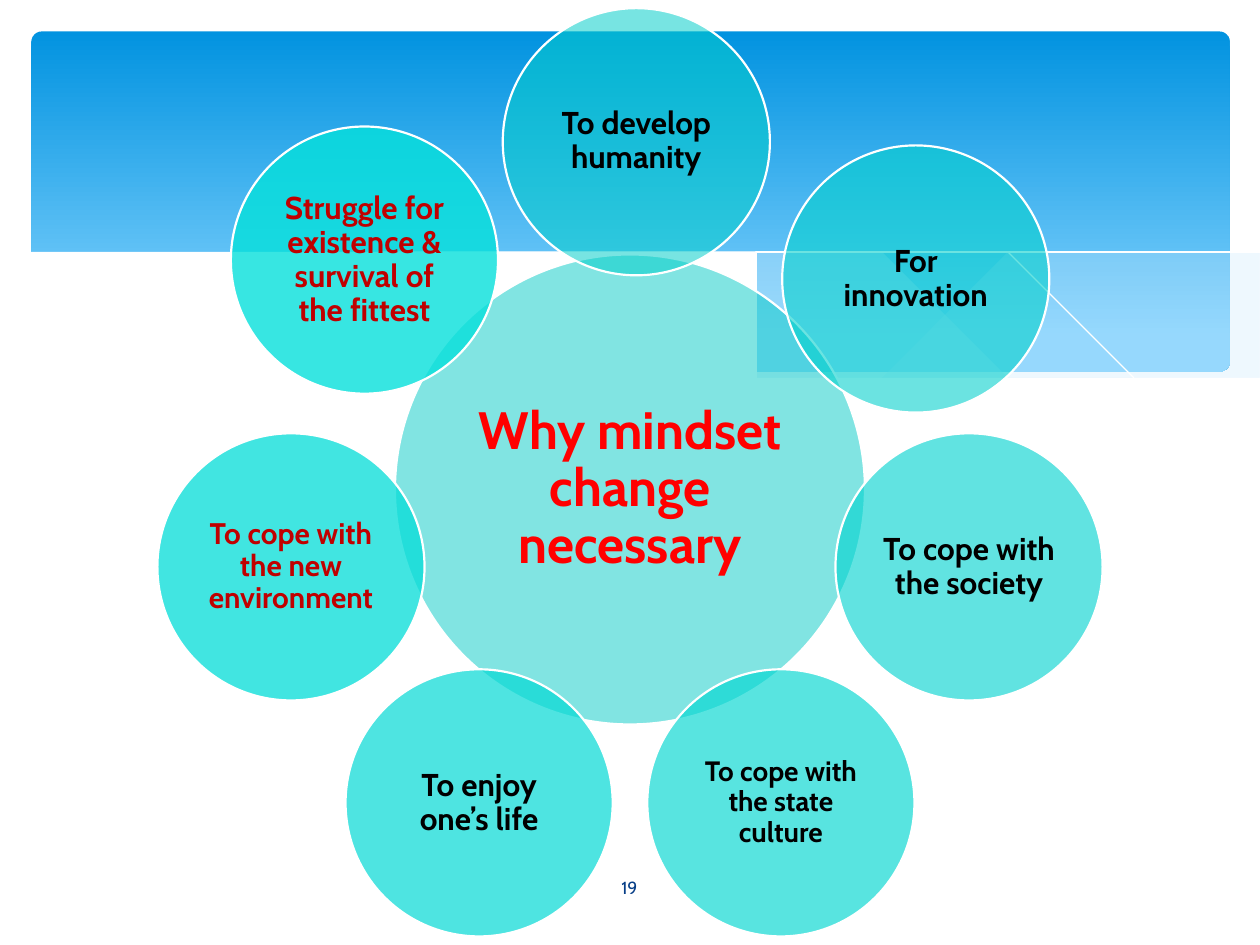
import math
from dataclasses import dataclass

import pptx
import pptx.dml.color
import pptx.enum.shapes
import pptx.enum.text
import pptx.oxml
import pptx.oxml.ns
import pptx.util

SHAPE = pptx.enum.shapes.MSO_SHAPE
Inches, Pt = pptx.util.Inches, pptx.util.Pt


@dataclass(frozen=True)
class Theme:
    font: str = "Cabin"
    sky: tuple = ("0293E0", "83D3FE")
    wave: str = "C6E7FC"
    white: str = "FFFFFF"
    number: str = "073E87"
    title: str = "FF0000"
    accent: str = "C00000"
    text: str = "000000"
    ring: tuple = ((5, 203, 199), (6, 224, 219))  # centre to last bubble
    opacity: tuple = (50, 80)
    title_size: int = 30
    large: int = 18
    medium: int = 17
    small: int = 16
    number_size: int = 10


theme = Theme()

# Content
QUESTION = "Why mindset change necessary"
PAGE_NUMBER = "19"
REASONS = [  # text, colour, size, nudge away from the even ring
    ("To develop humanity", theme.text, theme.large, (0.05, 0)),
    ("For innovation", theme.text, theme.large, (0.11, 0.05)),
    ("To cope with the society", theme.text, theme.large, (0, 0)),
    ("To cope with the state culture", theme.text, theme.small, (0, 0)),
    ("To enjoy one’s life", theme.text, theme.large, (0, 0)),
    ("To cope with the new environment", theme.accent, theme.medium, (0, 0)),
    ("Struggle for existence & survival of the fittest", theme.accent,
     theme.large, (0.05, -0.1)),
]

# Wave edges: points that a smooth curve passes through, in inches
RIGHT_WAVE = [
    [(9.76, 2), (9.35, 2.07), (8.61, 2.23), (7.53, 2.48), (6.61, 2.65)],
    [(6.61, 2.65), (7.19, 2.72), (7.69, 2.77), (8.24, 2.77), (8.72, 2.74),
     (9.13, 2.67), (9.49, 2.57), (9.76, 2.47)],
]
LONG_WAVE = [
    [(8.93, 2.73), (8.07, 2.6), (7.06, 2.4), (6.29, 2.22), (5.55, 2.05),
     (4.89, 1.94), (4.2, 1.87), (3.61, 1.85), (2.86, 1.91)],
    [(2.86, 1.91), (3.62, 2.03), (4.49, 2.22), (5.3, 2.4), (6.18, 2.58),
     (6.95, 2.7), (7.61, 2.77), (8.18, 2.78), (8.93, 2.73)],
]
LONG_LINE = [[(3.09, 1.95), (3.53, 1.89), (4.16, 1.87), (4.89, 1.9),
              (5.82, 2), (6.65, 2.13), (7.6, 2.33), (9.07, 2.72)]]
RIGHT_LINE = [[(6.13, 2.57), (6.95, 2.35), (7.76, 2.16), (8.66, 1.99),
               (9.24, 1.9), (9.75, 1.85)]]
WHITE_WAVE = [
    [(9.77, 2.46), (9.4, 2.59), (8.99, 2.69), (8.5, 2.75), (7.93, 2.76),
     (7.26, 2.72), (6.48, 2.62), (5.55, 2.45), (4.47, 2.2), (3.65, 2.02),
     (2.92, 1.9), (2.3, 1.85), (1.77, 1.84), (1.32, 1.86), (0.95, 1.91),
     (0.59, 1.99), (0.36, 2.07), (0.23, 2.13)],
    [(0.23, 3.29), (9.77, 3.29)],
]

# Geometry of the ring
CENTRE = (5, 3.885)
HUB_SIZE, BUBBLE_SIZE, RING_RADIUS = 3.73, 2.12, 2.76

deck = pptx.Presentation()
deck.slide_width, deck.slide_height = Inches(10), Inches(7.5)
slide = deck.slides.add_slide(deck.slide_layouts[5])  # title only


def rgb(value):
    return pptx.dml.color.RGBColor.from_string(value)


def fill_shape(shape, colour, opacity=100):
    shape.shadow.inherit = False
    shape.fill.solid()
    shape.fill.fore_color.rgb = colour
    if opacity < 100:
        node = shape._element.spPr.find(".//" + pptx.oxml.ns.qn("a:srgbClr"))
        node.append(pptx.oxml.parse_xml(
            f'<a:alpha {pptx.oxml.ns.nsdecls("a")} val="{round(opacity * 1000)}"/>'))


def write(shape, text, colour, size, bold=True, inset=0.03, spacing=0.9):
    frame = shape.text_frame
    frame.text = text
    frame.word_wrap = True
    frame.auto_size = pptx.enum.text.MSO_AUTO_SIZE.NONE
    frame.vertical_anchor = pptx.enum.text.MSO_ANCHOR.MIDDLE
    frame.margin_left = frame.margin_right = Inches(inset)
    frame.margin_top = frame.margin_bottom = Inches(inset)
    paragraph = frame.paragraphs[0]
    paragraph.alignment = pptx.enum.text.PP_ALIGN.CENTER
    paragraph.line_spacing = spacing
    font = paragraph.runs[0].font
    font.name, font.size, font.bold = theme.font, Pt(size), bold
    font.color.rgb = rgb(colour)


def smooth(points, steps=5):
    """Catmull-Rom curve through the points."""
    padded = [points[0], *points, points[-1]]
    curve = [points[0]]
    for a, b, c, d in zip(padded, padded[1:], padded[2:], padded[3:]):
        for t in (step / steps for step in range(1, steps + 1)):
            curve.append(tuple(
                0.5 * (2 * q + (r - p) * t + (2 * p - 5 * q + 4 * r - s) * t**2
                       + (3 * q - p - 3 * r + s) * t**3)
                for p, q, r, s in zip(a, b, c, d)))
    return curve


def add_wave(edges, colour, opacity=100, closed=True):
    points = [point for edge in edges for point in smooth(edge)]
    builder = slide.shapes.build_freeform(*points[0], scale=Inches(1))
    builder.add_line_segments(points[1:], close=closed)
    wave = builder.convert_to_shape()
    if closed:
        fill_shape(wave, rgb(colour), opacity)
        wave.line.fill.background()
    else:
        wave.shadow.inherit = False
        wave.fill.background()
        wave.line.color.rgb = rgb(colour)
        wave.line.width = Pt(0)


def add_circle(centre, size, step):
    """Circle coloured by its share of the way round the ring."""
    share = step / len(REASONS)
    first, last = theme.ring
    colour = pptx.dml.color.RGBColor(
        *(round(a + (b - a) * share) for a, b in zip(first, last)))
    low, high = theme.opacity
    x, y = (value - size / 2 for value in centre)
    circle = slide.shapes.add_shape(
        SHAPE.OVAL, Inches(x), Inches(y), Inches(size), Inches(size))
    fill_shape(circle, colour, low + (high - low) * share)
    circle.line.color.rgb = rgb(theme.white)
    circle.line.width = Pt(1.25)
    return circle


# Sky banner
sky = slide.shapes.add_shape(
    SHAPE.ROUNDED_RECTANGLE, Inches(0.25), Inches(0.25), Inches(9.51), Inches(2.7))
sky.adjustments[0] = 0.03
sky.shadow.inherit = False
sky.line.fill.background()
sky.fill.gradient()
sky.fill.gradient_angle = 270
for stop, colour, position in zip(sky.fill.gradient_stops, theme.sky, (0, 0.9)):
    stop.color.rgb = rgb(colour)
    stop.position = position

# Waves along the bottom of the banner
add_wave(RIGHT_WAVE, theme.wave, 29)
add_wave(LONG_WAVE, theme.wave, 40)
add_wave(LONG_LINE, theme.white, closed=False)
add_wave(RIGHT_LINE, theme.white, closed=False)
add_wave(WHITE_WAVE, theme.white)

# Hub, with the title laid over it
add_circle(CENTRE, HUB_SIZE, 0)
title = slide.shapes.title
title_size = HUB_SIZE / math.sqrt(2)
title.left, title.top = (Inches(value - title_size / 2) for value in CENTRE)
title.width = title.height = Inches(title_size)
write(title, QUESTION, theme.title, theme.title_size, inset=0.04)
slide.shapes._spTree.append(title._element)

# Reasons, clockwise from the top
for index, (reason, colour, size, (dx, dy)) in enumerate(REASONS):
    angle = 2 * math.pi * index / len(REASONS)
    place = (CENTRE[0] + RING_RADIUS * math.sin(angle) + dx,
             CENTRE[1] - RING_RADIUS * math.cos(angle) + dy)
    write(add_circle(place, BUBBLE_SIZE, index + 1), reason, colour, size)

# Page number
page = slide.shapes.add_textbox(Inches(4.36), Inches(6.84), Inches(1.27), Inches(0.4))
write(page, PAGE_NUMBER, theme.number, theme.number_size, bold=False, inset=0.05, spacing=1)

deck.save("out.pptx")
